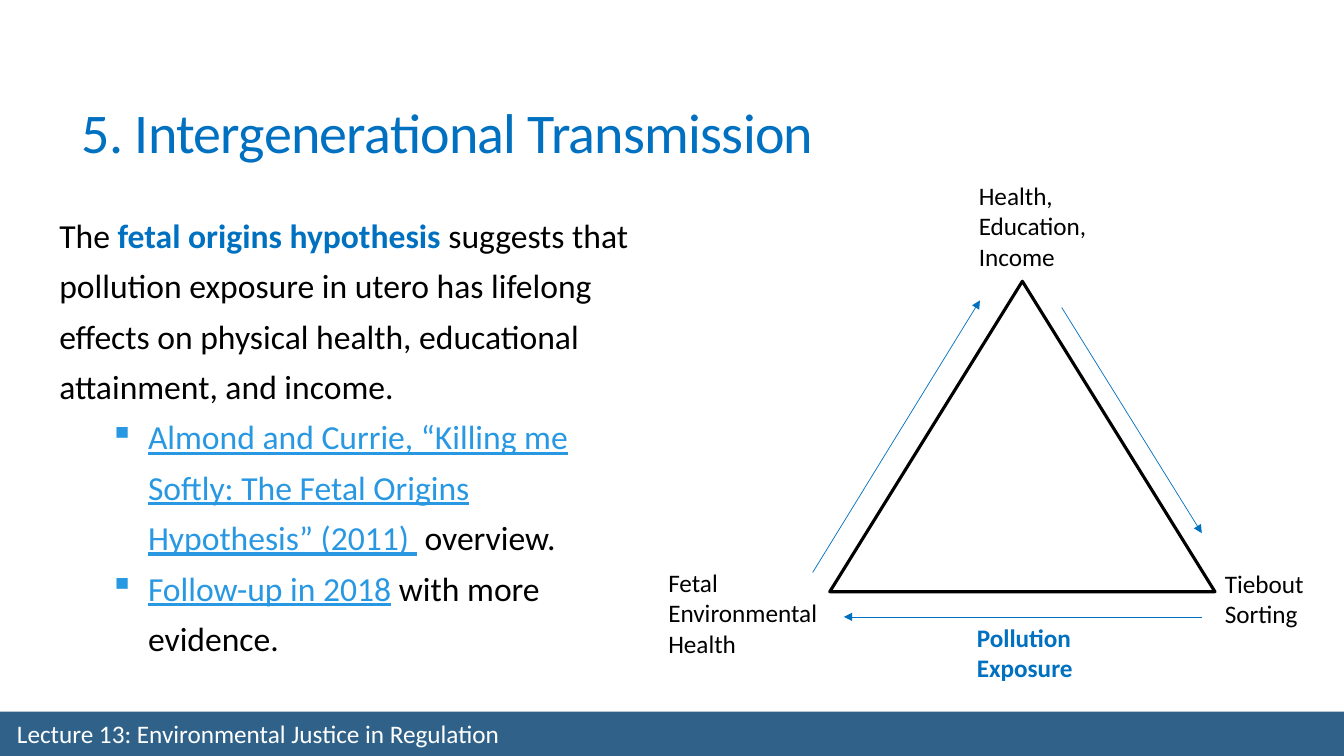
from dataclasses import dataclass

from lxml import etree
from pptx import Presentation
from pptx import util as u
from pptx.dml.color import RGBColor
from pptx.enum import shapes, text
from pptx.oxml.ns import qn

EMU_PER_PX = 9144  # 100 px to the inch


@dataclass(frozen=True)
class Theme:
    font: str = "Calibri"
    black: str = "000000"
    white: str = "FFFFFF"
    accent: str = "0070C0"
    link: str = "2998E3"
    band: str = "306289"
    title_size: int = 40
    body_size: int = 24
    label_size: int = 18


THEME = Theme()


def px(length):
    return u.Emu(length * EMU_PER_PX)


def rgb(colour):
    return RGBColor.from_string(colour)


# Text
def add_text_frame(slide, box, anchor=text.MSO_ANCHOR.TOP, grow=False):
    frame = slide.shapes.add_textbox(*map(px, box)).text_frame
    frame.word_wrap = True
    frame.vertical_anchor = anchor
    if grow:
        frame.auto_size = text.MSO_AUTO_SIZE.SHAPE_TO_FIT_TEXT
    return frame


def add_run(paragraph, words, size, colour, bold=False, underline=False):
    run = paragraph.add_run()
    run.text = words
    run.font.name = THEME.font
    run.font.size = u.Pt(size)
    run.font.color.rgb = rgb(colour)
    run.font.bold = bold
    run.font.underline = underline
    return run


def add_bullet(paragraph):
    paragraph.level = 1
    properties = paragraph._p.get_or_add_pPr()
    properties.set("marL", str(px(88)))
    properties.set("indent", str(px(-38)))
    colour = etree.SubElement(properties, qn("a:buClr"))
    etree.SubElement(colour, qn("a:srgbClr"), val=THEME.link)
    etree.SubElement(properties, qn("a:buChar"), char="▪")


def add_label(slide, box, words, colour=THEME.black, bold=False):
    frame = add_text_frame(slide, box, grow=True)
    add_run(frame.paragraphs[0], words, THEME.label_size, colour, bold)


# Lines and shapes
def add_arrow(slide, start, end):
    arrow = slide.shapes.add_connector(
        shapes.MSO_CONNECTOR.STRAIGHT, *map(px, start + end))
    arrow.line.color.rgb = rgb(THEME.accent)
    arrow.line.width = u.Pt(0.5)
    etree.SubElement(arrow.line._get_or_add_ln(), qn("a:tailEnd"), type="triangle")
    etree.SubElement(arrow._element.spPr, qn("a:effectLst"))


def add_plain_shape(slide, kind, box):
    shape = slide.shapes.add_shape(kind, *map(px, box))
    shape.shadow.inherit = False
    return shape


# Parts of the slide
def add_footer(slide):
    band = add_plain_shape(slide, shapes.MSO_SHAPE.RECTANGLE, (0, 706, 1333, 46))
    band.fill.solid()
    band.fill.fore_color.rgb = rgb(THEME.band)
    band.line.fill.background()
    frame = add_text_frame(slide, (7, 712, 660, 32), text.MSO_ANCHOR.MIDDLE)
    add_run(frame.paragraphs[0], "Lecture 13: Environmental Justice in Regulation",
            THEME.label_size, THEME.white)


def add_title(slide):
    frame = add_text_frame(slide, (49, -25, 790, 194), text.MSO_ANCHOR.BOTTOM)
    heading = frame.paragraphs[0]
    heading.alignment = text.PP_ALIGN.CENTER
    heading.line_spacing = 0.85
    run = add_run(heading, "5. Intergenerational Transmission",
                  THEME.title_size, THEME.accent)
    run.font._element.set("spc", "-50")


def add_hypothesis(slide):
    frame = add_text_frame(slide, (49, 198, 593, 461), grow=True)
    claim = frame.paragraphs[0]
    claim.line_spacing = 1.25
    add_run(claim, "The ", THEME.body_size, THEME.black)
    add_run(claim, "fetal origins hypothesis ", THEME.body_size, THEME.accent, bold=True)
    add_run(claim, "suggests that pollution exposure in utero has lifelong effects on "
            "physical health, educational attainment, and income.",
            THEME.body_size, THEME.black)

    readings = [
        ("Almond and Currie, “Killing me Softly: The Fetal Origins Hypothesis” (2011) ",
         " overview."),
        ("Follow-up in 2018", " with more evidence."),
    ]
    for citation, remark in readings:
        reading = frame.add_paragraph()
        reading.line_spacing = 1.25
        add_bullet(reading)
        add_run(reading, citation, THEME.body_size, THEME.link, underline=True)
        add_run(reading, remark, THEME.body_size, THEME.black)


def add_cycle(slide):
    triangle = add_plain_shape(
        slide, shapes.MSO_SHAPE.ISOSCELES_TRIANGLE, (823, 279, 382, 308))
    triangle.fill.background()
    triangle.line.color.rgb = rgb(THEME.black)
    triangle.line.width = u.Pt(2.25)

    add_arrow(slide, (1053, 305), (1192, 529))
    add_arrow(slide, (1192, 612), (837, 612))
    add_arrow(slide, (806, 568), (972, 298))

    add_label(slide, (1205, 559, 114, 71), "Tiebout Sorting")
    add_label(slide, (961, 174, 184, 101), "Health, Education, Income")
    add_label(slide, (653, 558, 184, 101), "Fetal Environmental Health")
    add_label(slide, (959, 612, 160, 71), "Pollution Exposure", THEME.accent, bold=True)


def main():
    deck = Presentation()
    deck.slide_width, deck.slide_height = px(1333), px(750)
    slide = deck.slides.add_slide(deck.slide_layouts[6])
    add_footer(slide)
    add_title(slide)
    add_hypothesis(slide)
    add_cycle(slide)
    deck.save("out.pptx")


if __name__ == "__main__":
    main()
